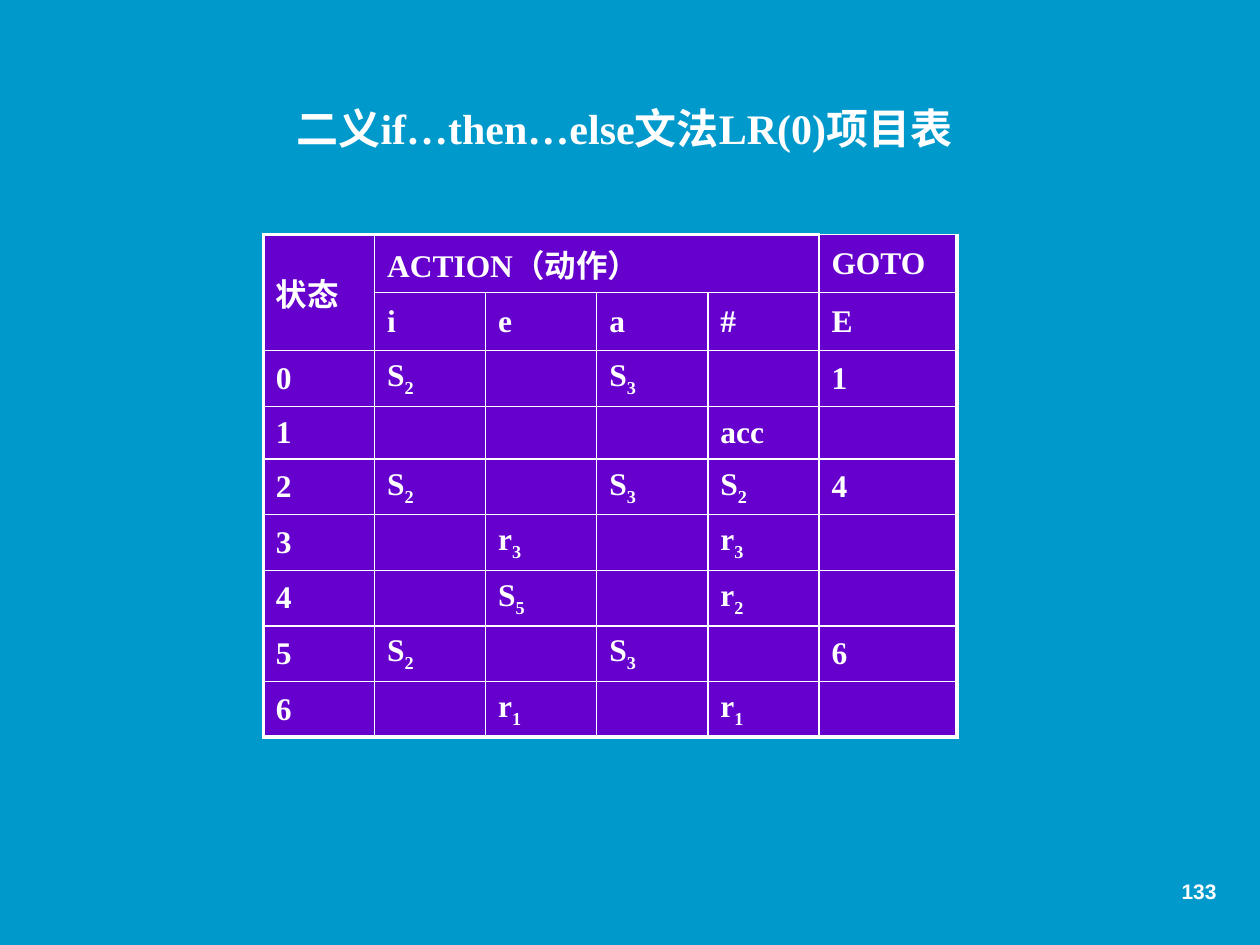
import dataclasses

import lxml.etree
import pptx
import pptx.dml.color
import pptx.enum.text
import pptx.oxml.ns
import pptx.util

Pt = pptx.util.Pt
RGB = pptx.dml.color.RGBColor
ALIGN = pptx.enum.text.PP_ALIGN
ANCHOR = pptx.enum.text.MSO_ANCHOR
AUTO_SIZE = pptx.enum.text.MSO_AUTO_SIZE


@dataclasses.dataclass(frozen=True)
class Theme:
    background: str = "0099CC"
    cell: str = "6600CC"
    ink: str = "FFFFFF"
    serif: str = "Times New Roman"
    sans: str = "Arial"
    title_size: float = 24
    cell_size: float = 18
    number_size: float = 12
    thin: float = 1
    thick: float = 2.25


THEME = Theme()

TITLE = "二义if…then…else文法LR(0)项目表"
# An underscore sets what follows it as a subscript.
ROWS = [
    ["状态", "ACTION（动作）", "", "", "", "GOTO"],
    ["", "i", "e", "a", "#", "E"],
    ["0", "S_2", "", "S_3", "", "1"],
    ["1", "", "", "", "acc", ""],
    ["2", "S_2", "", "S_3", "S_2", "4"],
    ["3", "", "r_3", "", "r_3", ""],
    ["4", "", "S_5", "", "r_2", ""],
    ["5", "S_2", "", "S_3", "", "6"],
    ["6", "", "r_1", "", "r_1", ""],
]
HEADER_ROWS = 2
HEADER_HEIGHT, BODY_HEIGHT = 33.2, 30.2
COLUMN_WIDTHS = [63.5] * 5 + [79]


def format_font(font, size, name):
    values = {"size": Pt(size), "name": name, "bold": True}
    for key, value in values.items():
        setattr(font, key, value)
    font.color.rgb = RGB.from_string(THEME.ink)


def write(p, text, size, name):
    base, _, subscript = text.partition("_")
    for part, baseline in ((base, None), (subscript, "-25000")):
        if part:
            r = p.add_run()
            r.text = part
            format_font(r.font, size, name)
            if baseline:
                r._r.get_or_add_rPr().set("baseline", baseline)


def place(sp, box):
    for key, value in zip(("left", "top", "width", "height"), box):
        setattr(sp, key, Pt(value))


def add_title(s, box):
    sp = s.shapes.title
    place(sp, box)
    tf = sp.text_frame
    values = {"word_wrap": True, "vertical_anchor": ANCHOR.TOP,
              "auto_size": AUTO_SIZE.SHAPE_TO_FIT_TEXT}
    for key, value in values.items():
        setattr(tf, key, value)
    p = tf.paragraphs[0]
    p.alignment = ALIGN.CENTER
    write(p, TITLE, THEME.title_size, THEME.serif)


def add_page_number(s, box):
    tf = s.shapes.add_textbox(*map(Pt, box)).text_frame
    tf.word_wrap = True
    p = tf.paragraphs[0]
    p.alignment = ALIGN.RIGHT
    write(p, "133", THEME.number_size, THEME.sans)


def set_borders(cell, widths):
    """Draw the left, right, top and bottom borders, in that order."""
    tc_pr = cell._tc.get_or_add_tcPr()
    qn = pptx.oxml.ns.qn
    for i, (side, width) in enumerate(zip("LRTB", widths)):
        ln = lxml.etree.Element(qn(f"a:ln{side}"), w=str(Pt(width)))
        fill = lxml.etree.SubElement(ln, qn("a:solidFill"))
        lxml.etree.SubElement(fill, qn("a:srgbClr"), val=THEME.ink)
        tc_pr.insert(i, ln)


def add_parse_table(s, box):
    table = s.shapes.add_table(len(ROWS), len(COLUMN_WIDTHS), *map(Pt, box)).table
    table.first_row = table.horz_banding = False
    for column, width in zip(table.columns, COLUMN_WIDTHS):
        column.width = Pt(width)
    last_row, last_col = len(ROWS) - 1, len(COLUMN_WIDTHS) - 1
    for i, texts in enumerate(ROWS):
        table.rows[i].height = Pt(HEADER_HEIGHT if i < HEADER_ROWS else BODY_HEIGHT)
        for j, text in enumerate(texts):
            cell = table.cell(i, j)
            cell.vertical_anchor = ANCHOR.MIDDLE
            cell.fill.solid()
            cell.fill.fore_color.rgb = RGB.from_string(THEME.cell)
            outer = (j == 0, j == last_col, i == 0 and j < last_col, i == last_row)
            set_borders(cell, [THEME.thick if o else THEME.thin for o in outer])
            p = cell.text_frame.paragraphs[0]
            if text:
                write(p, text, THEME.cell_size, THEME.serif)
            else:
                format_font(p.font, THEME.cell_size, THEME.serif)
    table.cell(0, 0).merge(table.cell(1, 0))
    table.cell(0, 1).merge(table.cell(0, 4))


def main():
    prs = pptx.Presentation()
    prs.slide_width, prs.slide_height = Pt(720), Pt(540)
    s = prs.slides.add_slide(prs.slide_layouts.get_by_name("Title Only"))
    s.background.fill.solid()
    s.background.fill.fore_color.rgb = RGB.from_string(THEME.background)
    add_page_number(s, (552.25, 498.25, 150, 30))
    height = HEADER_ROWS * HEADER_HEIGHT + (len(ROWS) - HEADER_ROWS) * BODY_HEIGHT
    add_parse_table(s, (150.5, 134, sum(COLUMN_WIDTHS), height))
    add_title(s, (155.5, 54.75, 402.5, 36))
    prs.save("out.pptx")


if __name__ == "__main__":
    main()
